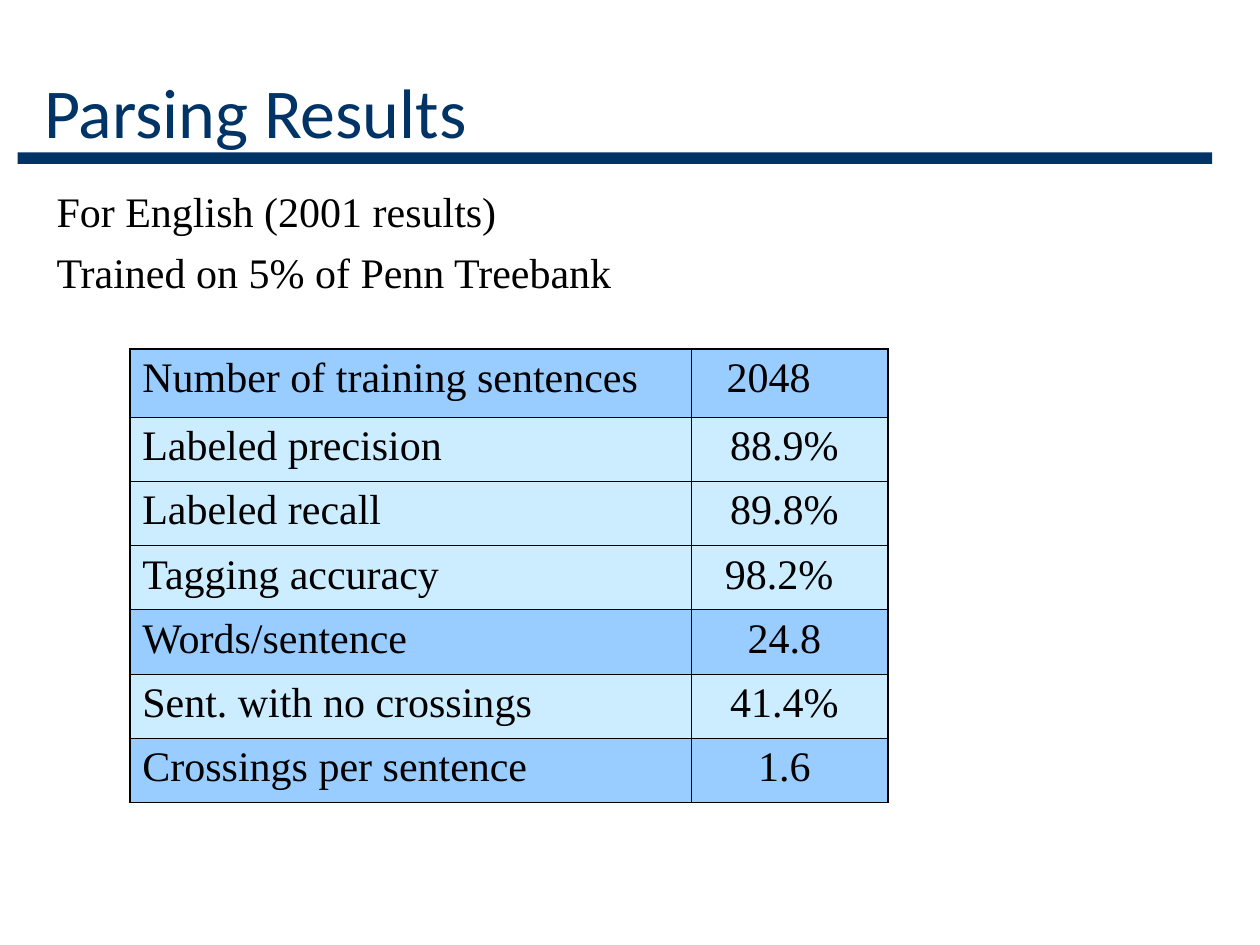
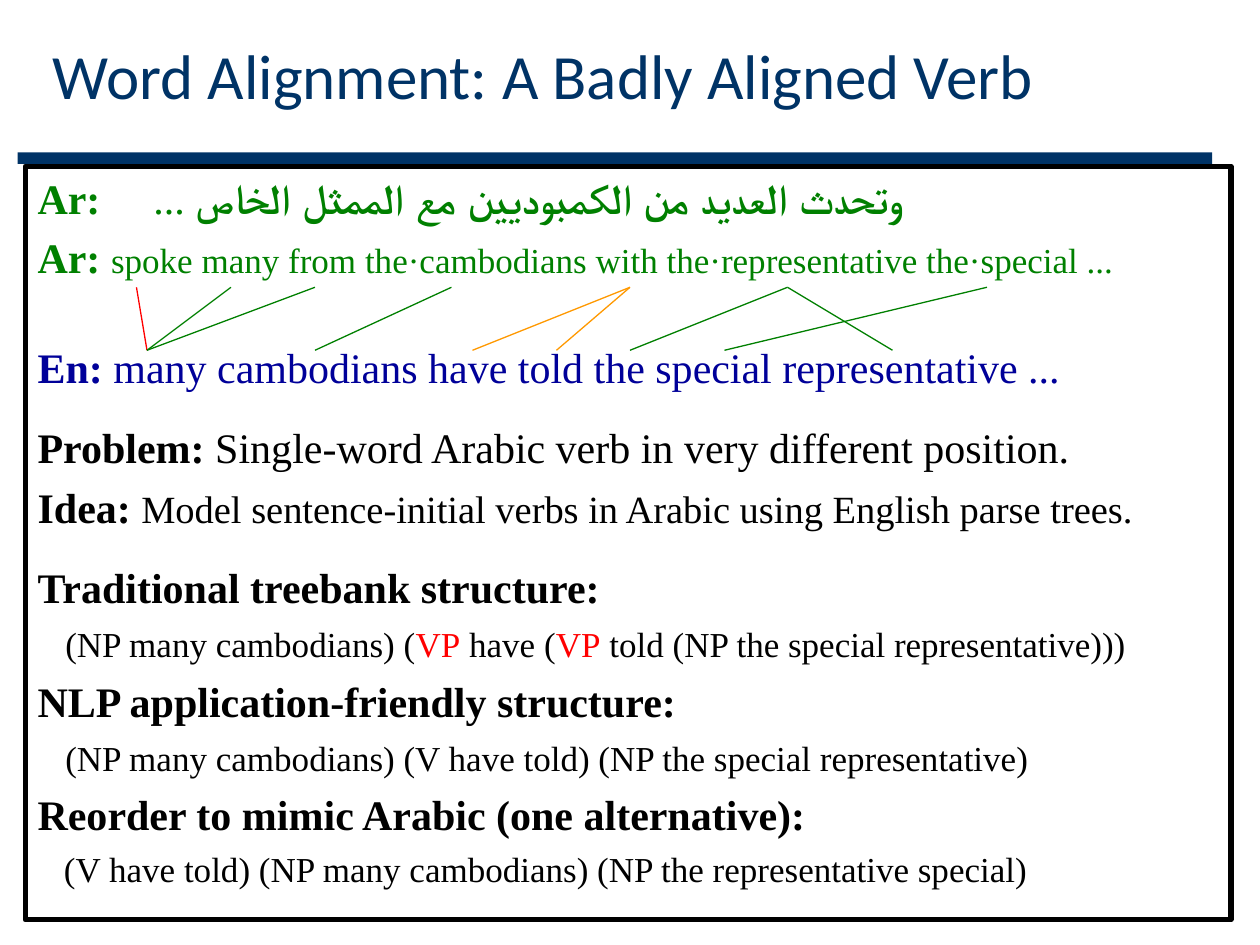
from dataclasses import dataclass
from pptx import Presentation
from pptx.dml.color import RGBColor
from pptx.enum.shapes import MSO_CONNECTOR, MSO_SHAPE
from pptx.enum.text import MSO_ANCHOR, MSO_AUTO_SIZE, PP_ALIGN
from pptx.oxml.ns import qn
from pptx.util import Inches, Pt
from lxml.etree import SubElement

COLS, ROWS = 100, 75
WIDE, HIGH = Inches(10), Inches(7.5)
TITLE_ONLY = 5


@dataclass(frozen=True)
class Theme:
    navy: str = "003366"
    black: str = "000000"
    green: str = "008000"
    blue: str = "000099"
    red: str = "FF0000"
    orange: str = "FF9900"
    dark: str = "99CCFF"
    light: str = "CCECFF"
    head: str = "Calibri"
    body: str = "Times New Roman"
    big: int = 40
    title: int = 36
    text: int = 24
    mid: int = 22
    small: int = 20


T = Theme()


def box(left, top, width, height):
    """Turn grid columns and rows into lengths."""
    return (int(left * WIDE / COLS), int(top * HIGH / ROWS),
            int(width * WIDE / COLS), int(height * HIGH / ROWS))


def rgb(code):
    return RGBColor.from_string(code)


def write(para, text, size=T.text, color=T.black, bold=False, font=T.body):
    run = para.add_run()
    run.text = text
    face = run.font
    face.name, face.size, face.bold = font, Pt(size), bold
    face.color.rgb = rgb(color)


def setup(frame, anchor=MSO_ANCHOR.TOP):
    frame.word_wrap = True
    frame.auto_size = MSO_AUTO_SIZE.NONE
    frame.vertical_anchor = anchor
    return frame


def fill_paras(frame, lines):
    """Write lines of (space before, indent, runs); a run is (text, format)."""
    for i, (before, indent, runs) in enumerate(lines):
        para = frame.add_paragraph() if i else frame.paragraphs[0]
        para.alignment = PP_ALIGN.LEFT
        para.space_before = Pt(before)
        if indent:
            para._p.get_or_add_pPr().set("marL", str(Inches(indent)))
        for text, style in runs:
            write(para, text, **style)


def set_tab(para, pos):
    tabs = SubElement(para._p.get_or_add_pPr(), qn("a:tabLst"))
    SubElement(tabs, qn("a:tab"), pos=str(Inches(pos)), algn="l")


def start(deck, text, area, size):
    """Add a slide with the shared title style and band."""
    slide = deck.slides.add_slide(deck.slide_layouts[TITLE_ONLY])
    band = slide.shapes.add_shape(MSO_SHAPE.RECTANGLE, *box(1.4, 12.1, 94.8, 0.9))
    band.shadow.inherit = False
    band.fill.solid()
    band.fill.fore_color.rgb = rgb(T.navy)
    band.line.fill.background()
    title = slide.shapes.title
    title.left, title.top, title.width, title.height = area
    para = setup(title.text_frame, MSO_ANCHOR.MIDDLE).paragraphs[0]
    para.alignment = PP_ALIGN.LEFT
    write(para, text, size=size, color=T.navy, font=T.head)
    return slide


def edge(cell, side, points):
    line = SubElement(cell._tc.get_or_add_tcPr(), qn("a:ln" + side), w=str(Pt(points)))
    solid = SubElement(line, qn("a:solidFill"))
    SubElement(solid, qn("a:srgbClr"), val=T.black)


def add_scores(slide, area, rows):
    """Draw rows of (label, value, shade, shift); shift is in space widths."""
    left, top, width, height = area
    grid = slide.shapes.add_table(len(rows), 2, left, top, width, height).table
    first = int(width * 0.74)
    grid.columns[0].width, grid.columns[1].width = first, width - first
    last = len(rows) - 1
    for r, (label, value, shade, shift) in enumerate(rows):
        grid.rows[r].height = int(height * (0.15 if r == 0 else 0.85 / last))
        for c, text in enumerate((label, value)):
            cell = grid.cell(r, c)
            for side, outer in zip("LRTB", (c == 0, c == 1, r == 0, r == last)):
                edge(cell, side, 1.08 if outer else 0.45)
            cell.fill.solid()
            cell.fill.fore_color.rgb = rgb(shade)
            para = cell.text_frame.paragraphs[0]
            para.space_before = Pt(6)
            if c == 1:
                para.alignment = PP_ALIGN.CENTER
                cell.margin_right = Inches(0.1) + shift * Pt(T.text / 4)
            write(para, text)


def add_links(slide, area, links):
    """Join upper to lower words; ends are in twelfths of an inch."""
    left, top, width, height = area
    for upper, lower, color in links:
        line = slide.shapes.add_connector(
            MSO_CONNECTOR.STRAIGHT, left + width * upper // 120, top,
            left + width * lower // 120, top + height)
        line.line.color.rgb = rgb(color)
        line.line.width = Pt(0.75)
        SubElement(line._element.spPr, qn("a:effectLst"))


def results(deck):
    slide = start(deck, "Parsing Results", box(2.5, 4.2, 92.5, 9.2), T.big)
    note = slide.shapes.add_textbox(*box(3.5, 14.2, 90.5, 15.1))
    fill_paras(setup(note.text_frame), [
        (6, 0, [(text, {})]) for text in
        ("For English (2001 results)", "Trained on 5% of Penn Treebank")])
    add_scores(slide, box(10.3, 27.7, 60.2, 36), [
        ("Number of training sentences", "2048", T.dark, 4),
        ("Labeled precision", "88.9%", T.light, 1),
        ("Labeled recall", "89.8%", T.light, 1),
        ("Tagging accuracy", "98.2%", T.light, 2),
        ("Words/sentence", "24.8", T.dark, 1),
        ("Sent. with no crossings", "41.4%", T.light, 1),
        ("Crossings per sentence", "1.6", T.dark, 1)])


def alignment(deck):
    slide = start(deck, "Word Alignment: A Badly Aligned Verb",
                  box(3.2, 3.2, 87.6, 5.4), T.title)
    panel = slide.shapes.add_shape(MSO_SHAPE.RECTANGLE, *box(2, 13.2, 95.7, 59.8))
    panel.shadow.inherit = False
    panel.fill.background()
    panel.line.color.rgb = rgb(T.black)
    panel.line.width = Pt(3)

    bold, small = {"bold": True}, {"size": T.small}
    green, blue = {"color": T.green}, {"color": T.blue}
    red = {**small, "color": T.red}
    frame = setup(panel.text_frame)
    fill_paras(frame, [
        (6, 0, [("Ar:", green | bold), ("\t... ", green),
                ("وتحدث العديد من الكمبوديين مع الممثل الخاص", green | bold)]),
        (5, 0, [("Ar: ", green | bold),
                ("spoke many from the·cambodians with the·representative "
                 "the·special ...", green | small)]),
        (34, 0, [("En:", blue | bold),
                 (" many cambodians have told the special representative ...", blue)]),
        (17, 0, [("Problem: ", bold),
                 ("Single-word Arabic verb in very different position.", {})]),
        (5.5, 0, [("Idea: ", bold),
                  ("Model sentence-initial verbs in Arabic using English parse trees.",
                   {"size": T.mid})]),
        (17, 0, [("Traditional treebank structure:", bold)]),
        (6, 0.22, [("(NP many cambodians) (", small), ("VP", red), (" have (", small),
                   ("VP", red), (" told (NP the special representative)))", small)]),
        (6, 0, [("NLP application-friendly structure:", bold)]),
        (6, 0.22, [("(NP many cambodians) (V have told) "
                    "(NP the special representative)", small)]),
        (6, 0, [("Reorder to mimic Arabic (one alternative):", bold)]),
        (5, 0.21, [("(V have told) (NP many cambodians) "
                    "(NP the representative special)", small)])])
    set_tab(frame.paragraphs[0], 0.92)
    add_links(slide, box(0, 22.8, COLS, 5), [
        (13, 14, T.red), (22, 14, T.green), (30, 14, T.green),
        (43, 30, T.green), (60, 45, T.orange), (60, 53, T.orange),
        (75, 60, T.green), (75, 85, T.green), (94, 69, T.green)])


def main():
    deck = Presentation()
    deck.slide_width, deck.slide_height = WIDE, HIGH
    results(deck)
    alignment(deck)
    deck.save("out.pptx")


if __name__ == "__main__":
    main()
